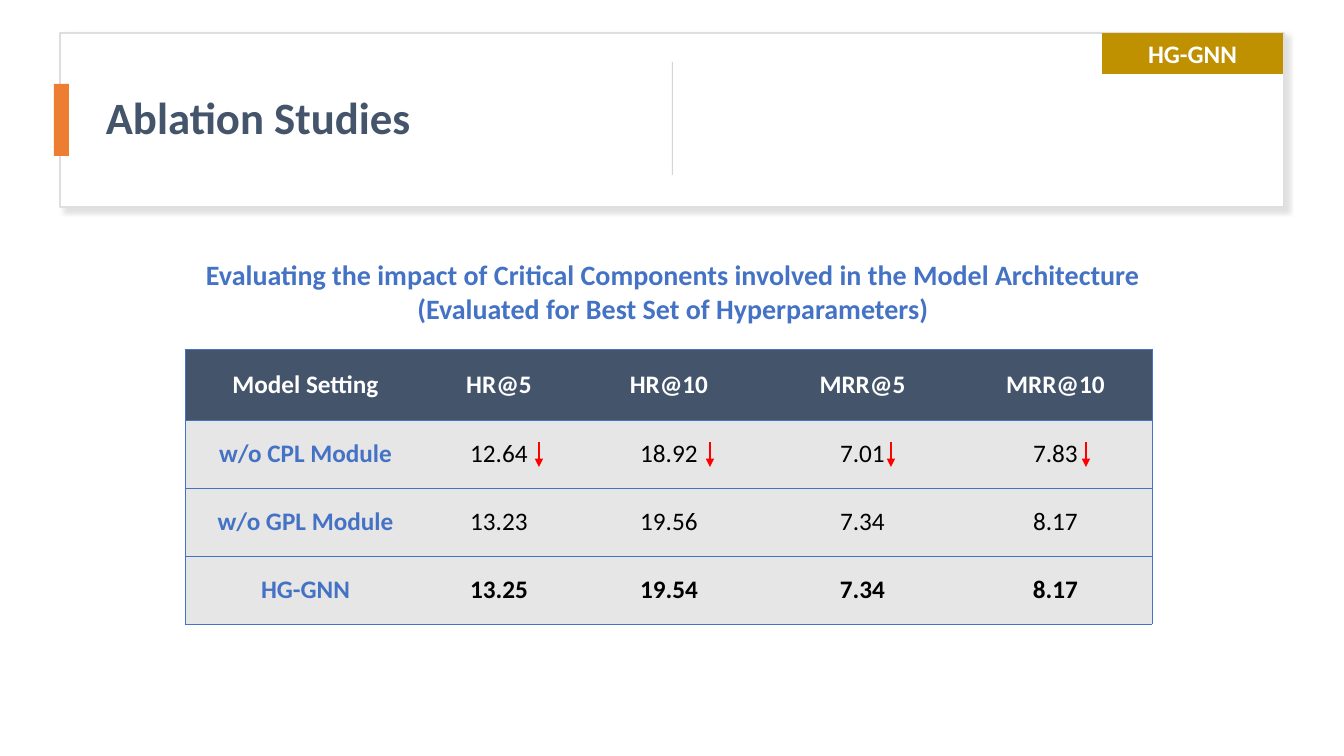
import lxml.etree
import pptx
import pptx.dml.color
import pptx.enum.shapes
import pptx.enum.text
import pptx.oxml
import pptx.oxml.ns
import pptx.util

COLORS = {
    "white": "FFFFFF", "black": "000000", "navy": "44546A", "blue": "4472C4",
    "orange": "ED7D31", "gold": "BF9000", "red": "FF0000", "row": "E7E6E6",
    "card_line": "DEDEDE", "divider": "D5D5D5", "shadow": "C5C3C3",
}
ALIGN = pptx.enum.text.PP_ALIGN
ANCHOR = pptx.enum.text.MSO_ANCHOR
RESULTS = [
    ["Model Setting", "HR@5", "HR@10", "MRR@5", "MRR@10"],
    ["w/o CPL Module", "12.64", "18.92", "7.01", "7.83"],
    ["w/o GPL Module", "13.23", "19.56", "7.34", "8.17"],
    ["HG-GNN", "13.25", "19.54", "7.34", "8.17"],
]
COL_WIDTHS = [241, 146, 194, 193, 193]
ROW_HEIGHTS = [71, 68, 68, 68]
DROP_ARROW_X = [539, 710, 891, 1086]


def px(n):
    return pptx.util.Emu(round(n * 914400 / 100.8))


def rgb(name):
    return pptx.dml.color.RGBColor.from_string(COLORS[name])


def sub(parent, tag, **attrs):
    """Append a DrawingML child element."""
    return lxml.etree.SubElement(parent, pptx.oxml.ns.qn("a:" + tag), attrs)


def write(tf, text, size=18, color="black", bold=True, align=ALIGN.CENTER,
          anchor=ANCHOR.TOP, spacing=None):
    """Fill a text frame, one paragraph for each line of text."""
    tf.word_wrap = True
    tf.vertical_anchor = anchor
    for i, line in enumerate(text.split("\n")):
        p = tf.add_paragraph() if i else tf.paragraphs[0]
        p.alignment = align
        if spacing:
            p.line_spacing = spacing
        r = p.add_run()
        r.text = line
        r.font.name = "Calibri"
        r.font.size = pptx.util.Pt(size)
        r.font.bold = bold
        r.font.color.rgb = rgb(color)


class Deck:
    def __init__(self):
        self.prs = pptx.Presentation()
        self.prs.slide_width, self.prs.slide_height = px(1344), px(756)
        self.s = self.prs.slides.add_slide(self.prs.slide_layouts[6])

    def rect(self, x, y, w, h, fill, line=None):
        sp = self.s.shapes.add_shape(
            pptx.enum.shapes.MSO_SHAPE.RECTANGLE, px(x), px(y), px(w), px(h))
        sp.shadow.inherit = False
        sp.fill.solid()
        sp.fill.fore_color.rgb = rgb(fill)
        if line:
            sp.line.color.rgb = rgb(line)
            sp.line.width = pptx.util.Pt(1)
        else:
            sp.line.fill.background()
        return sp

    def card(self, x, y, w, h):
        """Outlined panel with a soft shadow to the lower right."""
        sp = self.rect(x, y, w, h, "white", "card_line")
        effects = sp._element.spPr.find(pptx.oxml.ns.qn("a:effectLst"))
        shadow = sub(effects, "outerShdw", blurRad=str(pptx.util.Pt(4)),
                     dist=str(pptx.util.Pt(3)), dir=str(45 * 60000),
                     algn="tl", rotWithShape="0")
        color = sub(shadow, "srgbClr", val=COLORS["shadow"])
        sub(color, "alpha", val="50000")

    def text(self, x, y, w, h, text, **fmt):
        sp = self.s.shapes.add_textbox(px(x), px(y), px(w), px(h))
        write(sp.text_frame, text, **fmt)

    def down_arrow(self, x, y1, y2):
        cx = self.s.shapes.add_connector(
            pptx.enum.shapes.MSO_CONNECTOR.STRAIGHT, px(x), px(y1), px(x), px(y2))
        cx.line.color.rgb = rgb("red")
        cx.line.width = pptx.util.Pt(1.5)
        sub(cx.line._get_or_add_ln(), "tailEnd", type="triangle")
        sub(cx._element.spPr, "effectLst")

    def border(self, cell, side, color):
        tc_pr = cell._tc.get_or_add_tcPr()
        ln = sub(tc_pr, "ln" + side, w=str(pptx.util.Pt(0.5)))
        if color:
            sub(sub(ln, "solidFill"), "srgbClr", val=COLORS[color])
        else:
            sub(ln, "noFill")

    def table(self, x, y, rows, widths, heights):
        tbl = self.s.shapes.add_table(
            len(rows), len(widths), px(x), px(y),
            px(sum(widths)), px(sum(heights))).table
        tbl.horz_banding = False
        for col, w in zip(tbl.columns, widths):
            col.width = px(w)
        for row, h in zip(tbl.rows, heights):
            row.height = px(h)
        last_row, last_col = len(rows) - 1, len(widths) - 1
        for i, row in enumerate(rows):
            for j, text in enumerate(row):
                cell = tbl.cell(i, j)
                self.border(cell, "L", "blue" if j == 0 else None)
                self.border(cell, "R", "blue" if j == last_col else None)
                self.border(cell, "T", "blue")
                self.border(cell, "B", "blue")
                cell.fill.solid()
                cell.fill.fore_color.rgb = rgb("row" if i else "navy")
                cell.vertical_anchor = ANCHOR.MIDDLE
                color = "white" if i == 0 else "blue" if j == 0 else "black"
                write(cell.text_frame, text, color=color, anchor=None,
                      bold=i in (0, last_row) or j == 0)
                cell.vertical_anchor = ANCHOR.MIDDLE


def main():
    deck = Deck()
    deck.card(60, 33, 1224, 174)
    deck.text(96, 44, 551, 151, "Ablation Studies", size=32, color="navy",
              align=ALIGN.LEFT, anchor=ANCHOR.MIDDLE, spacing=0.9)
    deck.rect(54, 84, 15, 72, "orange")
    deck.rect(672, 62, 1, 113, "divider")
    deck.text(73, 253, 1200, 159,
              "Evaluating the impact of Critical Components involved in the "
              "Model Architecture\n(Evaluated for Best Set of Hyperparameters)",
              size=20, color="blue")
    deck.table(185, 349, RESULTS, COL_WIDTHS, ROW_HEIGHTS)
    for x in DROP_ARROW_X:
        deck.down_arrow(x, 442, 467)
    badge = deck.rect(1102, 33, 181, 41, "gold")
    write(badge.text_frame, "HG-GNN", color="white")
    deck.prs.save("out.pptx")


if __name__ == "__main__":
    main()
